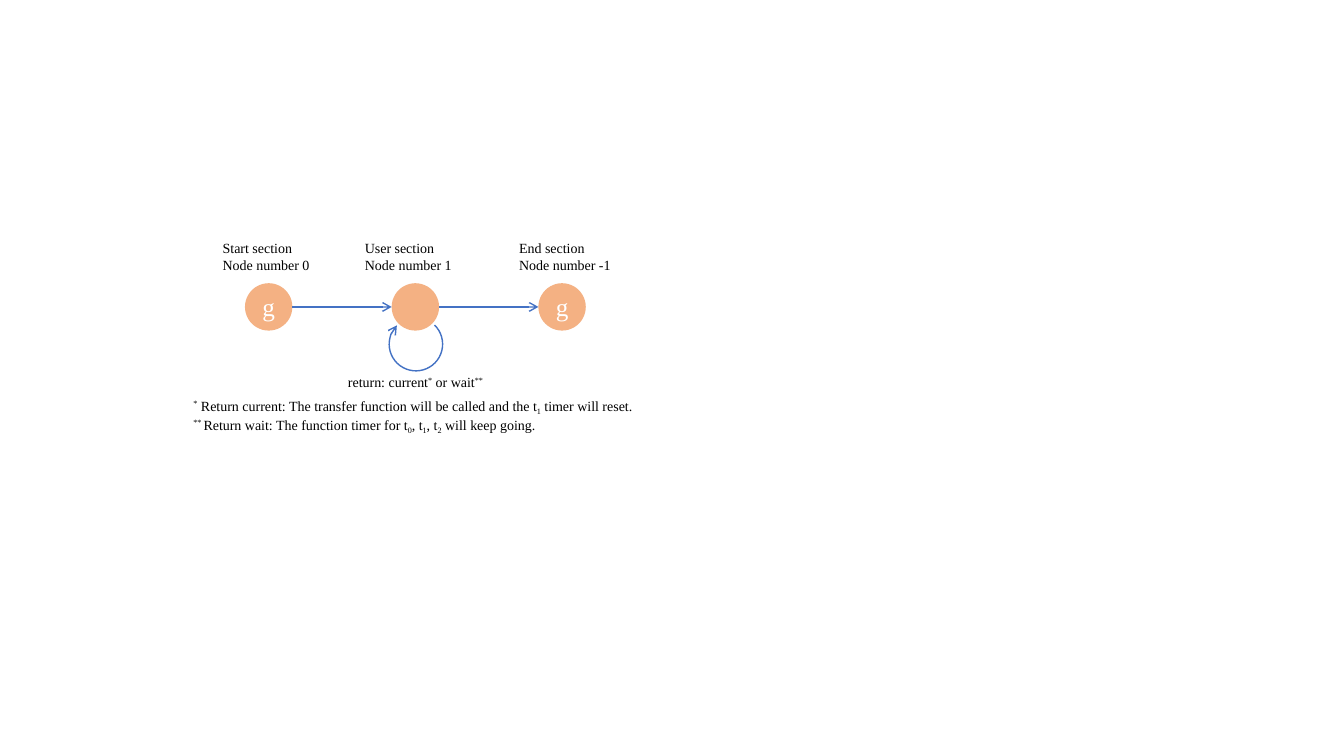
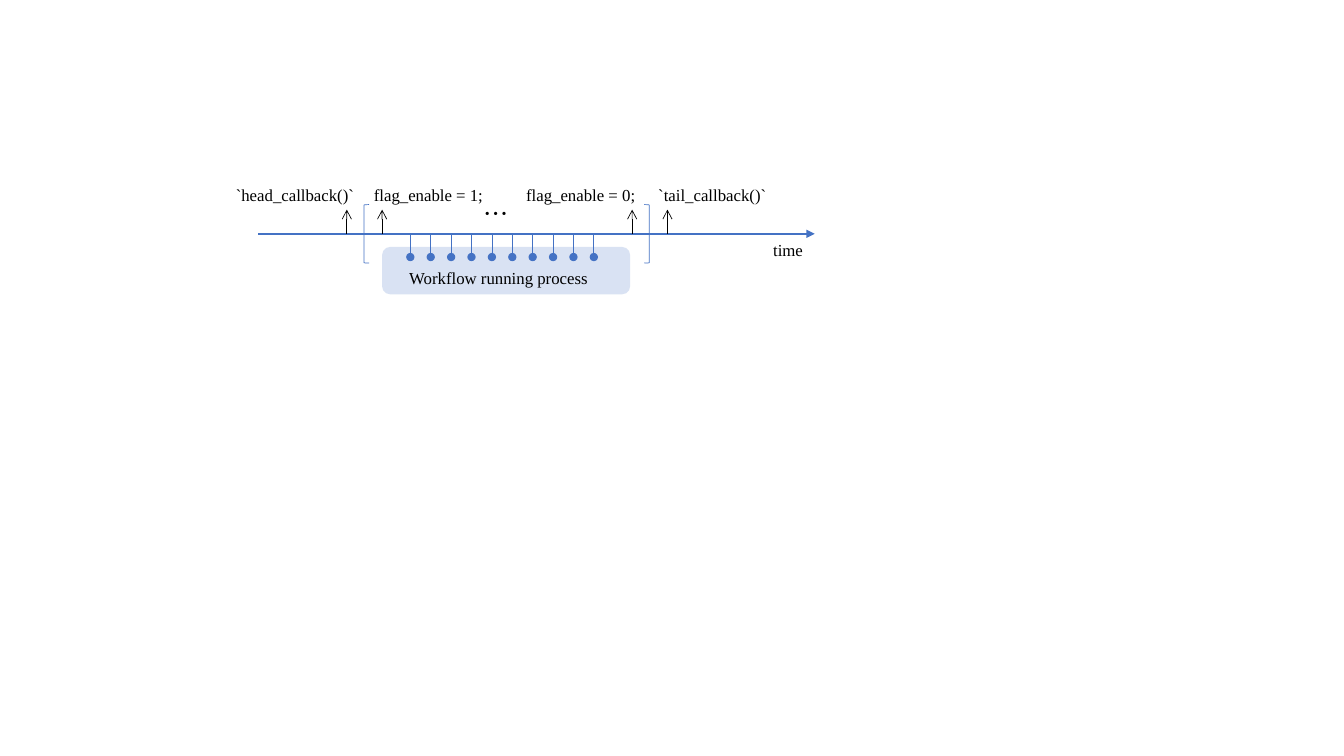
from dataclasses import dataclass
from typing import NamedTuple

from lxml import etree
from pptx import Presentation
from pptx import util as u
from pptx.dml.color import RGBColor
from pptx.enum import shapes, text
from pptx.oxml.ns import qn

# Shared look
BLUE, ORANGE, BLACK, WHITE = "4472C4", "ED7D31", "000000", "FFFFFF"
SERIF, CJK = "Times New Roman", "Noto Sans CJK SC"
SHAPE = shapes.MSO_SHAPE
CENTER = text.PP_ALIGN.CENTER


class Run(NamedTuple):
    text: str
    base: int = 0  # baseline shift in percent


class Box(NamedTuple):
    x: float
    y: float
    w: float
    h: float


@dataclass
class Label:
    box: Box
    lines: list[list[Run]]
    size: float
    font: str = SERIF
    wrap: bool = False
    align: text.PP_ALIGN | None = None


def rgb(color: str) -> RGBColor:
    return RGBColor.from_string(color)


def plain(*lines: str) -> list[list[Run]]:
    return [[Run(line)] for line in lines]


def sup(mark: str) -> Run:
    return Run(mark, 30)


def sub(mark: str) -> Run:
    return Run(mark, -25)


# Drawing helpers
def write_lines(tf, lines: list[list[Run]], size: float, font: str,
                color: str, align: text.PP_ALIGN | None = None) -> None:
    for i, runs in enumerate(lines):
        p = tf.add_paragraph() if i else tf.paragraphs[0]
        p.alignment = align
        for run in runs:
            r = p.add_run()
            r.text = run.text
            for name, value in {"size": u.Pt(size), "name": font}.items():
                setattr(r.font, name, value)
            r.font.color.rgb = rgb(color)
            rPr = r.font._element
            etree.SubElement(rPr, qn("a:ea"), typeface=font)
            if run.base:
                rPr.set("baseline", str(run.base * 1000))


def add_label(slide, label: Label) -> None:
    tf = slide.shapes.add_textbox(*map(u.Inches, label.box)).text_frame
    fmt = {"word_wrap": label.wrap,
           "auto_size": text.MSO_AUTO_SIZE.SHAPE_TO_FIT_TEXT}
    for name, value in fmt.items():
        setattr(tf, name, value)
    write_lines(tf, label.lines, label.size, label.font, BLACK, label.align)


def style_line(line, color: str, width: float, tail: str = "") -> None:
    line.color.rgb = rgb(color)
    line.width = u.Pt(width)
    if tail:
        etree.SubElement(line._get_or_add_ln(), qn("a:tailEnd"), type=tail)


def add_solid(slide, kind: SHAPE, box: Box, color: str, opacity: int):
    s = slide.shapes.add_shape(kind, *map(u.Inches, box))
    s.shadow.inherit = False
    s.fill.solid()
    s.fill.fore_color.rgb = rgb(color)
    clr = s._element.spPr.find(qn("a:solidFill"))[0]
    etree.SubElement(clr, qn("a:alpha"), val=str(opacity * 1000))
    s.line.fill.background()
    return s


def add_outline(slide, kind: SHAPE, box: Box, width: float, tail: str = ""):
    s = slide.shapes.add_shape(kind, *map(u.Inches, box))
    s.shadow.inherit = False
    s.fill.background()
    style_line(s.line, BLUE, width, tail)
    return s


def add_arrow(slide, x1: float, y1: float, x2: float, y2: float,
              color: str, width: float, tail: str) -> None:
    ends = map(u.Inches, (x1, y1, x2, y2))
    c = slide.shapes.add_connector(shapes.MSO_CONNECTOR.STRAIGHT, *ends)
    style_line(c.line, color, width, tail)
    etree.SubElement(c._element.spPr, qn("a:effectLst"))


# Slide 1: node chain with a self loop
def build_nodes(slide) -> None:
    left, top, size, pitch = 2.43, 2.81, 0.47, 1.455
    mid = top + size / 2
    columns = [left + pitch * i for i in range(3)]
    for x, letter in zip(columns, ("g", "", "g")):
        s = add_solid(slide, SHAPE.OVAL, Box(x, top, size, size), ORANGE, 60)
        if letter:
            s.text_frame.vertical_anchor = text.MSO_ANCHOR.MIDDLE
            write_lines(s.text_frame, plain(letter), 18, SERIF, WHITE, CENTER)
    for x, following in zip(columns, columns[1:]):
        add_arrow(slide, x + size, mid, following, mid, BLUE, 1, "arrow")

    loop = add_outline(slide, SHAPE.ARC, Box(3.86, 3.15, 0.53, 0.53), 1, "arrow")
    loop.adjustments[0], loop.adjustments[1] = 162, 108.19
    loop.rotation = 44.3

    for x, w, section, number in ((2.11, 1.08, "Start", 0),
                                  (3.52, 1.08, "User", 1),
                                  (5.05, 1.12, "End", -1)):
        lines = plain(f"{section} section", f"Node number {number}")
        add_label(slide, Label(Box(x, 2.33, w, 0.44), lines, 10))

    returns = [Run("return: current"), sup("*"), Run(" or wait"), sup("**")]
    add_label(slide, Label(Box(3.31, 3.66, 1.62, 0.27), [returns], 10,
                           wrap=True, align=CENTER))
    notes = [
        [sup("*"),
         Run(" Return current: The transfer function will be called and the t"),
         sub("1"), Run(" timer will reset.")],
        [sup("** "), Run("Return wait: The function timer for t"), sub("0"),
         Run(", t"), sub("1"), Run(", t"), sub("2"),
         Run(" will keep going.")],
    ]
    add_label(slide, Label(Box(1.82, 3.89, 4.65, 0.44), notes, 10))


# Slide 2: callbacks along a time axis
def build_timeline(slide) -> None:
    axis = 2.32
    process = add_solid(slide, SHAPE.ROUNDED_RECTANGLE,
                        Box(3.79, 2.45, 2.46, 0.47), BLUE, 20)
    process.adjustments[0] = 0.17
    add_arrow(slide, 2.56, axis, 8.08, axis, BLUE, 1.25, "triangle")

    for x, flip in ((3.61, "0"), (6.39, "1")):
        s = add_outline(slide, SHAPE.LEFT_BRACKET, Box(x, 2.03, 0.05, 0.58), 0.5)
        s._element.spPr.xfrm.set("flipH", flip)

    for x in (3.44, 3.79, 6.27, 6.62):
        add_arrow(slide, x, axis, x, axis - 0.24, BLACK, 0.5, "arrow")
    first, last, count = 4.07, 5.89, 10
    for i in range(count):
        x = first + (last - first) * i / (count - 1)
        add_arrow(slide, x, axis, x, axis + 0.23, BLUE, 0.5, "oval")

    for x, y, w, words in ((2.24, 1.78, 1.39, "`head_callback()`"),
                           (3.61, 1.78, 1.3, "flag_enable = 1;"),
                           (5.12, 1.78, 1.3, "flag_enable = 0;"),
                           (6.43, 1.78, 1.32, "`tail_callback()`"),
                           (3.96, 2.61, 1.99, "Workflow running process"),
                           (7.57, 2.33, 0.5, "time")):
        add_label(slide, Label(Box(x, y, w, 0.3), plain(words), 12))
    add_label(slide, Label(Box(4.7, 1.92, 0.38, 0.4), plain("…"), 18, CJK))


def main() -> None:
    prs = Presentation()
    prs.slide_width, prs.slide_height = u.Inches(13.33), u.Inches(7.5)
    for build in (build_nodes, build_timeline):
        build(prs.slides.add_slide(prs.slide_layouts[6]))
    prs.save("out.pptx")


if __name__ == "__main__":
    main()
